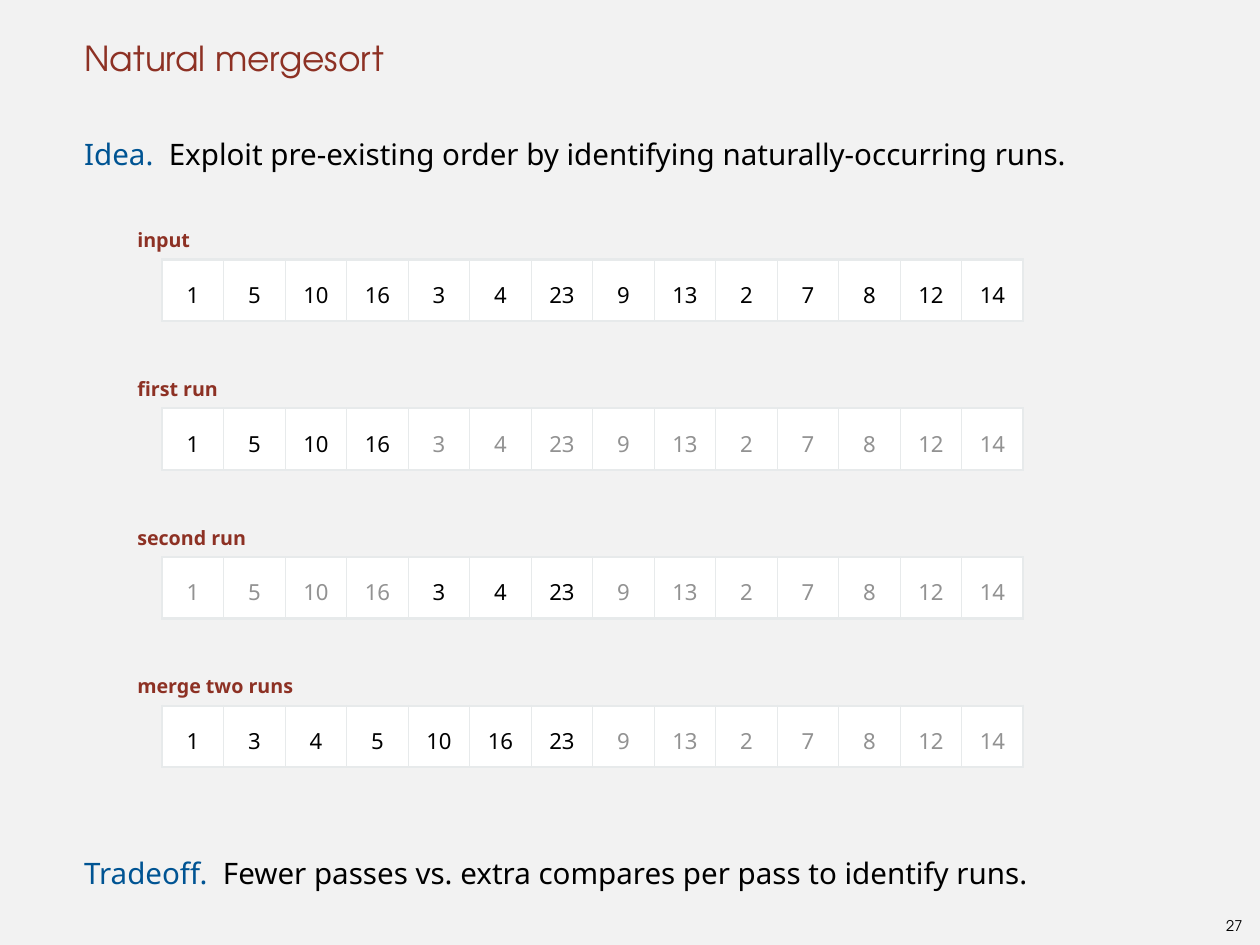
import pptx
import pptx.util
import pptx.dml.color
import pptx.enum.text
import pptx.oxml
import pptx.oxml.ns

Inches, Pt = pptx.util.Inches, pptx.util.Pt
RGBColor = pptx.dml.color.RGBColor
PP_ALIGN, MSO_ANCHOR = pptx.enum.text.PP_ALIGN, pptx.enum.text.MSO_ANCHOR

BACKGROUND = RGBColor(0xF2, 0xF2, 0xF2)
WHITE = RGBColor(0xFF, 0xFF, 0xFF)
BLACK = RGBColor(0, 0, 0)
GREY = RGBColor(0x92, 0x92, 0x92)
RED = RGBColor(0x8D, 0x31, 0x24)
BLUE = RGBColor(0x00, 0x54, 0x93)
BORDER = RGBColor(0xE7, 0xEA, 0xEB)

BODY_FONT, HEAD_FONT = "Noto Sans", "TeX Gyre Adventor"
WIDTH, HEIGHT = 14.22, 10.67
MARGIN, PAD = 0.89, 0.06
LINE = 39  # body line height in points
CELL = 9.72 / 14
PITCH = 1.68  # from one array to the next

INPUT = [1, 5, 10, 16, 3, 4, 23, 9, 13, 2, 7, 8, 12, 14]
MERGED = sorted(INPUT[:7]) + INPUT[7:]
# label, values, range of highlighted cells
STEPS = [
    ("input", INPUT, range(0, 14)),
    ("first run", INPUT, range(0, 4)),
    ("second run", INPUT, range(4, 7)),
    ("merge two runs", MERGED, range(0, 7)),
]


def set_font(p, size, color, name=BODY_FONT, bold=False):
    f = p.font
    f.size, f.name, f.bold = Pt(size), name, bold
    f.color.rgb = color


def add_text(s, box, text="", anchor=MSO_ANCHOR.TOP):
    tf = s.shapes.add_textbox(*map(Inches, box)).text_frame
    tf.word_wrap = True
    tf.vertical_anchor = anchor
    tf.margin_left = Inches(PAD)
    tf.margin_right = tf.margin_top = tf.margin_bottom = 0
    p = tf.paragraphs[0]
    p.text = text
    return tf, p


def add_title(s, box, text):
    tf, p = add_text(s, box, text, MSO_ANCHOR.BOTTOM)
    set_font(p, 28, RED, HEAD_FONT)


def add_page_number(s, box, text):
    tf, p = add_text(s, box, text, MSO_ANCHOR.MIDDLE)
    tf.margin_left = 0
    p.alignment = PP_ALIGN.CENTER
    set_font(p, 12, BLACK, HEAD_FONT)


def add_body(s, box, points, gap_lines):
    """Place points that open with a blue keyword, gap_lines apart."""
    tf, p = add_text(s, box)
    for i, (keyword, text) in enumerate(points):
        if i:
            p = tf.add_paragraph()
            p.space_before = Pt(gap_lines * LINE)
        p.line_spacing = Pt(LINE)
        set_font(p, 24, BLACK)
        r = p.add_run()
        r.text = keyword
        r.font.color.rgb = BLUE
        p.add_run().text = text


def add_borders(cell, widths):
    """Draw the cell's sides, given as side letter and width in points."""
    tcPr = cell._tc.get_or_add_tcPr()
    for side, width in widths.items():
        tcPr.append(pptx.oxml.parse_xml(
            f'<a:ln{side} {pptx.oxml.ns.nsdecls("a")} w="{Pt(width)}"><a:solidFill>'
            f'<a:srgbClr val="{BORDER}"/></a:solidFill></a:ln{side}>'))


def add_array(s, left, top, label, values, highlighted):
    """Place a row of values with its label above and to the left."""
    count = len(values)
    tf, p = add_text(s, (left - 0.34, top - 0.49, 2.2, 0.36), label)
    p.line_spacing = 1.5
    set_font(p, 16, RED, bold=True)

    frame = s.shapes.add_table(1, count, *map(Inches, (left, top, count * CELL, CELL)))
    table = frame.table
    table.first_row = table.horz_banding = False
    for i, value in enumerate(values):
        table.columns[i].width = Inches(CELL)
        cell = table.cell(0, i)
        add_borders(cell, {"L": 1 if i else 2, "R": 1 if i < count - 1 else 2,
                           "T": 2, "B": 2})
        cell.fill.solid()
        cell.fill.fore_color.rgb = WHITE
        cell.vertical_anchor = MSO_ANCHOR.MIDDLE
        cell.margin_left = cell.margin_right = Inches(PAD)
        cell.margin_top = cell.margin_bottom = Inches(PAD)
        p = cell.text_frame.paragraphs[0]
        p.text = str(value)
        p.alignment = PP_ALIGN.CENTER
        p.line_spacing = 1.3
        set_font(p, 18, BLACK if i in highlighted else GREY)


def main():
    prs = pptx.Presentation()
    prs.slide_width, prs.slide_height = Inches(WIDTH), Inches(HEIGHT)
    s = prs.slides.add_slide(prs.slide_layouts[6])
    s.background.fill.solid()
    s.background.fill.fore_color.rgb = BACKGROUND

    content_width = WIDTH - 2 * MARGIN
    add_title(s, (MARGIN, 0, content_width, MARGIN), "Natural mergesort")
    add_body(s, (MARGIN, 1.39, content_width, 8.89), [
        ("Idea.  ", "Exploit pre-existing order by identifying naturally-occurring runs."),
        ("Tradeoff. ", " Fewer passes vs. extra compares per pass to identify runs."),
    ], gap_lines=14)
    for i, step in enumerate(STEPS):
        add_array(s, 1.83, 2.93 + i * PITCH, *step)
    add_page_number(s, (13.76, 10.29, 0.34, 0.32), "27")
    prs.save("out.pptx")


if __name__ == "__main__":
    main()
